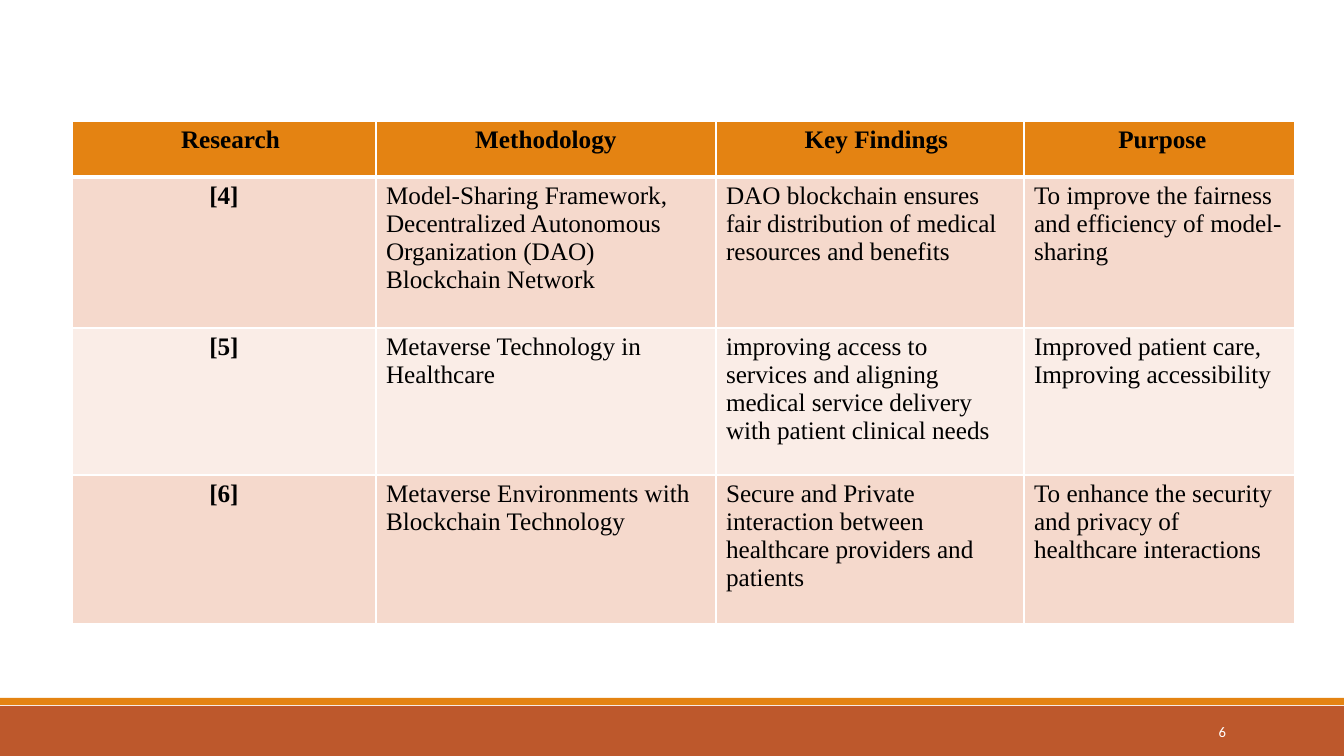
from dataclasses import dataclass

from lxml import etree
from pptx import Presentation
from pptx import util as u
from pptx.dml.color import RGBColor
from pptx.enum import shapes, text
from pptx.oxml import ns

PX = 914400 / 100.8
ALIGN = text.PP_ALIGN


@dataclass(frozen=True)
class Theme:
    orange: str = "E48312"
    rust: str = "BD582C"
    bands: tuple = ("F5D9CC", "FAEDE7")
    white: str = "FFFFFF"
    black: str = "000000"
    table_font: str = "Times New Roman"
    number_font: str = "Calibri"
    table_size: float = 18
    number_size: float = 10.5
    thin_line: int = 1
    header_line: int = 3


THEME = Theme()
COLUMN_WIDTHS = (304, 340, 308, 271)
ROW_HEIGHTS = (56, 151, 147, 149)
CELL_MARGIN = 10
HEADER_INDENTS = (13, 0, 13, 6)
ROWS = (
    ("Research", "Methodology", "Key Findings", "Purpose"),
    ("[4]",
     "Model-Sharing Framework, Decentralized Autonomous Organization (DAO) Blockchain Network",
     "DAO blockchain ensures fair distribution of medical resources and benefits",
     "To improve the fairness and efficiency of model-sharing"),
    ("[5]",
     "Metaverse Technology in Healthcare",
     "improving access to services and aligning medical service delivery "
     "with patient clinical needs",
     "Improved patient care,\nImproving accessibility"),
    ("[6]",
     "Metaverse Environments with Blockchain Technology",
     "Secure and Private interaction between healthcare providers and patients",
     "To enhance the security and privacy of healthcare interactions"),
)


def px(length):
    return u.Emu(round(length * PX))


def rgb(value):
    return RGBColor.from_string(value)


def style_text(frame, font, size, color, align, bold=False):
    for para in frame.paragraphs:
        para.alignment = align
        for span in para.runs:
            span.font.name = font
            span.font.size = u.Pt(size)
            span.font.bold = bold
            span.font.color.rgb = rgb(color)


def add_band(page, top, height, color):
    """Add a footer band across the full page width."""
    band = page.shapes.add_shape(
        shapes.MSO_SHAPE.RECTANGLE, 0, px(top), px(1344), px(height))
    band.shadow.inherit = False
    band.fill.solid()
    band.fill.fore_color.rgb = rgb(color)
    band.line.fill.background()


def add_page_number(page, number):
    box = page.shapes.add_textbox(px(1092), px(712), px(144), px(40))
    frame = box.text_frame
    frame.word_wrap = True
    frame.vertical_anchor = text.MSO_ANCHOR.MIDDLE
    frame.text = number
    style_text(frame, THEME.number_font, THEME.number_size, THEME.white, ALIGN.RIGHT)


def set_borders(cell, top, bottom):
    """Draw white cell borders; top and bottom are widths in points."""
    properties = cell._tc.get_or_add_tcPr()
    widths = {"a:lnL": THEME.thin_line, "a:lnR": THEME.thin_line,
              "a:lnT": top, "a:lnB": bottom}
    for tag, width in widths.items():
        line = etree.SubElement(properties, ns.qn(tag), w=str(u.Pt(width)))
        fill = etree.SubElement(line, ns.qn("a:solidFill"))
        etree.SubElement(fill, ns.qn("a:srgbClr"), val=THEME.white)


def fill_cell(cell, wording, row, column):
    header = row == 0
    set_borders(cell,
                top=THEME.header_line if row == 1 else THEME.thin_line,
                bottom=THEME.header_line if header else THEME.thin_line)
    cell.fill.solid()
    cell.fill.fore_color.rgb = rgb(
        THEME.orange if header else THEME.bands[(row - 1) % 2])
    if header:
        cell.margin_left = px(CELL_MARGIN + HEADER_INDENTS[column])
    cell.text_frame.text = wording
    emphasised = header or column == 0
    if emphasised:
        align = ALIGN.CENTER
    else:
        align = ALIGN.JUSTIFY if "\n" in wording else ALIGN.LEFT
    style_text(cell.text_frame, THEME.table_font, THEME.table_size,
               THEME.black, align, emphasised)


def add_research_table(page):
    table = page.shapes.add_table(
        len(ROWS), len(COLUMN_WIDTHS), px(72), px(121),
        px(sum(COLUMN_WIDTHS)), px(sum(ROW_HEIGHTS))).table
    for column, width in zip(table.columns, COLUMN_WIDTHS):
        column.width = px(width)
    for row, height in zip(table.rows, ROW_HEIGHTS):
        row.height = px(height)
    for row, wordings in enumerate(ROWS):
        for column, wording in enumerate(wordings):
            fill_cell(table.cell(row, column), wording, row, column)


def main():
    deck = Presentation()
    deck.slide_width, deck.slide_height = px(1344), px(756)
    page = deck.slides.add_slide(deck.slide_layouts[6])
    add_band(page, 706, 50, THEME.rust)
    add_band(page, 698, 7, THEME.orange)
    add_page_number(page, "6")
    add_research_table(page)
    deck.save("out.pptx")


if __name__ == "__main__":
    main()
